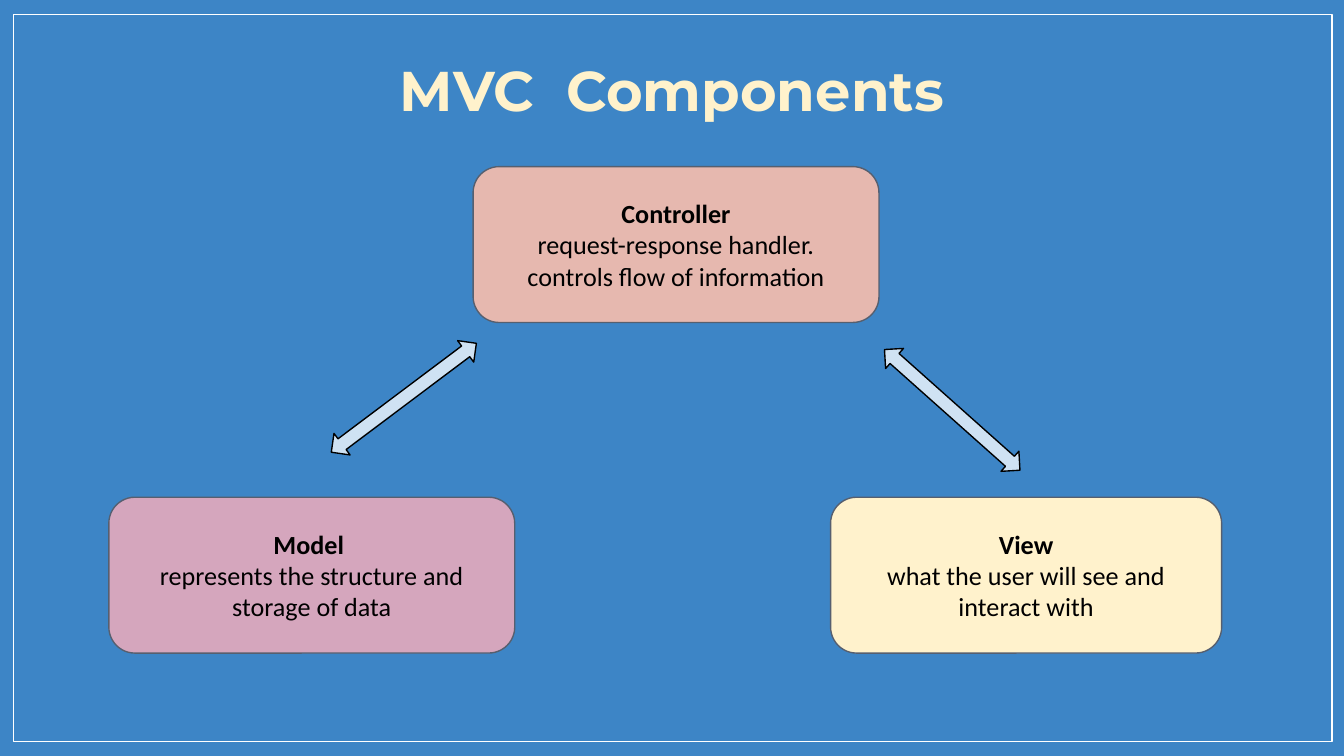
from copy import deepcopy

from pptx import Presentation
from pptx.dml.color import RGBColor
from pptx.enum.shapes import MSO_SHAPE
from pptx.enum.text import MSO_ANCHOR, PP_ALIGN
from pptx.util import Inches, Pt

RECTANGLE = MSO_SHAPE.RECTANGLE
ROUNDED = MSO_SHAPE.ROUNDED_RECTANGLE
DOUBLE_ARROW = MSO_SHAPE.LEFT_RIGHT_ARROW
CENTER = PP_ALIGN.CENTER
TOP = MSO_ANCHOR.TOP
MIDDLE = MSO_ANCHOR.MIDDLE

COLORS = {
    "background": "3D85C6",
    "frame": "FFFFFF",
    "title": "FFF2CC",
    "model": "D5A6BD",
    "controller": "E6B8AF",
    "view": "FFF2CC",
    "outline": "565F6F",
    "arrow": "CFE2F3",
    "text": "000000",
}


class Diagram:
    title_font = "Montserrat"
    body_font = "Calibri"
    inset = 0.1
    line_width = 0.75

    def __init__(self, slide):
        self.slide = slide
        fill = slide.background.fill
        fill.solid()
        fill.fore_color.rgb = self.color("background")

    def color(self, name):
        return RGBColor.from_string(COLORS[name])

    def shape(self, kind, left, top, width, height, line, fill=None):
        shape = self.slide.shapes.add_shape(
            kind, Inches(left), Inches(top), Inches(width), Inches(height))
        shape.shadow.inherit = False
        if fill:
            shape.fill.solid()
            shape.fill.fore_color.rgb = self.color(fill)
        else:
            shape.fill.background()
        shape.line.color.rgb = self.color(line)
        shape.line.width = Pt(self.line_width)
        return shape

    def paragraph(self, shape, anchor):
        frame = shape.text_frame
        frame.word_wrap = True
        frame.vertical_anchor = anchor
        frame.margin_left = frame.margin_right = Inches(self.inset)
        frame.margin_top = frame.margin_bottom = Inches(self.inset)
        paragraph = frame.paragraphs[0]
        paragraph.alignment = CENTER
        return paragraph

    def run(self, paragraph, text, font, size, color, bold):
        run = paragraph.add_run()
        run.text = text
        run.font.name = font
        run.font.size = Pt(size)
        run.font.bold = bold
        run.font.color.rgb = self.color(color)
        return run

    def title(self, text, left, top, width, height):
        box = self.slide.shapes.add_textbox(
            Inches(left), Inches(top), Inches(width), Inches(height))
        paragraph = self.paragraph(box, TOP)
        self.run(paragraph, text, self.title_font, 30, "title", True)

    def component(self, name, description, fill, left, top, width):
        shape = self.shape(ROUNDED, left, top, width, 1.16, "outline", fill)
        paragraph = self.paragraph(shape, MIDDLE)
        heading = self.run(paragraph, name, self.body_font, 14, "text", True)
        paragraph.add_line_break()
        paragraph._p[-1].append(deepcopy(heading._r.rPr))
        self.run(paragraph, description, self.body_font, 14, "text", False)

    def arrow(self, left, top, rotation):
        arrow = self.shape(DOUBLE_ARROW, left, top, 1.35, 0.2, "text", "arrow")
        arrow.rotation = rotation


def main():
    presentation = Presentation()
    presentation.slide_width = Inches(10)
    presentation.slide_height = presentation.slide_width * 9 // 16
    diagram = Diagram(presentation.slides.add_slide(presentation.slide_layouts[6]))

    diagram.shape(RECTANGLE, 0.1, 0.11, 9.81, 5.41, "frame")
    diagram.title("MVC  Components", 0.5, 0.31, 9, 0.45)
    for component in (
        ("Model ", "represents the structure and storage of data", "model", 0.81, 3.7, 3.02),
        ("Controller", "request-response handler. controls flow of information",
         "controller", 3.52, 1.24, 3.02),
        ("View", "what the user will see and interact with", "view", 6.18, 3.7, 2.91),
    ):
        diagram.component(*component)
    diagram.arrow(2.33, 2.86, 323.1)
    diagram.arrow(6.41, 2.95, 41.7)

    presentation.save("out.pptx")


if __name__ == "__main__":
    main()
